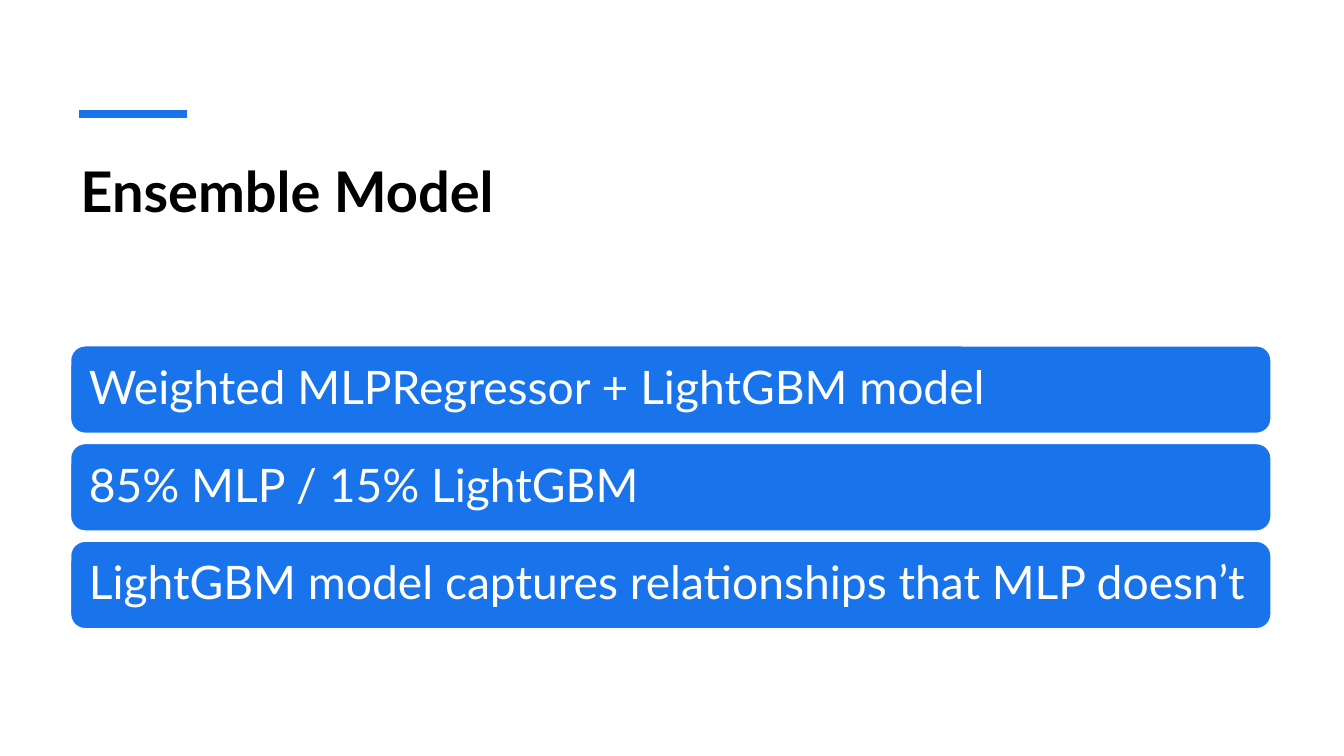
"""Build the Ensemble Model slide."""
from dataclasses import dataclass

from lxml.etree import SubElement
from pptx import Presentation
from pptx.dml.color import RGBColor
from pptx.enum.shapes import MSO_CONNECTOR as Conn, MSO_SHAPE as Shape
from pptx.enum.text import MSO_ANCHOR as Anchor, PP_ALIGN as Align
from pptx.oxml.ns import qn
from pptx.slide import Slide
from pptx.text.text import TextFrame
from pptx.util import Pt


@dataclass(frozen=True)
class Theme:
    font: str = "Lato"
    blue: RGBColor = RGBColor(0x19, 0x73, 0xEB)
    black: RGBColor = RGBColor(0, 0, 0)
    white: RGBColor = RGBColor(255, 255, 255)
    title_size: float = 40
    bar_size: float = 33


@dataclass(frozen=True)
class Bar:
    text: str
    top: float


THEME = Theme()
LEFT, WIDTH = 50.4, 857.5
BAR_TOP, BAR_HEIGHT, BAR_PITCH, BAR_INSET = 247, 62.5, 69.8, 10
POINTS = (
    "Weighted MLPRegressor + LightGBM model",
    "85% MLP / 15% LightGBM",
    "LightGBM model captures relationships that MLP doesn’t",
)
BARS = [Bar(text, BAR_TOP + i * BAR_PITCH) for i, text in enumerate(POINTS)]


def write(tf: TextFrame, text: str, size: float, color: RGBColor, bold: bool = False) -> None:
    tf.word_wrap = True
    p = tf.paragraphs[0]
    p.alignment = Align.LEFT
    r = p.add_run()
    r.text = text
    r.font.name = THEME.font
    r.font.size = Pt(size)
    r.font.bold = bold
    r.font.color.rgb = color


def draw_accent(s: Slide) -> None:
    line = s.shapes.add_connector(Conn.STRAIGHT, Pt(56.4), Pt(81.4), Pt(133.4), Pt(81.4))
    line.line.color.rgb = THEME.blue
    line.line.width = Pt(6)
    SubElement(line._element.spPr, qn("a:effectLst"))


def draw_title(s: Slide) -> None:
    sp = s.shapes.add_textbox(Pt(LEFT), Pt(108), Pt(WIDTH), Pt(86.4))
    write(sp.text_frame, "Ensemble Model", THEME.title_size, THEME.black, bold=True)


def draw_bar(s: Slide, bar: Bar) -> None:
    sp = s.shapes.add_shape(
        Shape.ROUNDED_RECTANGLE, Pt(LEFT), Pt(bar.top), Pt(WIDTH), Pt(BAR_HEIGHT)
    )
    sp.shadow.inherit = False
    sp.fill.solid()
    sp.fill.fore_color.rgb = THEME.blue
    sp.line.color.rgb = THEME.white
    sp.line.width = Pt(1)
    tf = sp.text_frame
    tf.vertical_anchor = Anchor.MIDDLE
    tf.margin_left = tf.margin_right = tf.margin_top = tf.margin_bottom = Pt(BAR_INSET)
    write(tf, bar.text, THEME.bar_size, THEME.white)
    tf.paragraphs[0].line_spacing = 0.9


def main() -> None:
    prs = Presentation()
    prs.slide_width, prs.slide_height = Pt(960), Pt(540)
    s = prs.slides.add_slide(prs.slide_layouts[6])
    draw_accent(s)
    draw_title(s)
    for bar in BARS:
        draw_bar(s, bar)
    prs.save("out.pptx")


if __name__ == "__main__":
    main()
